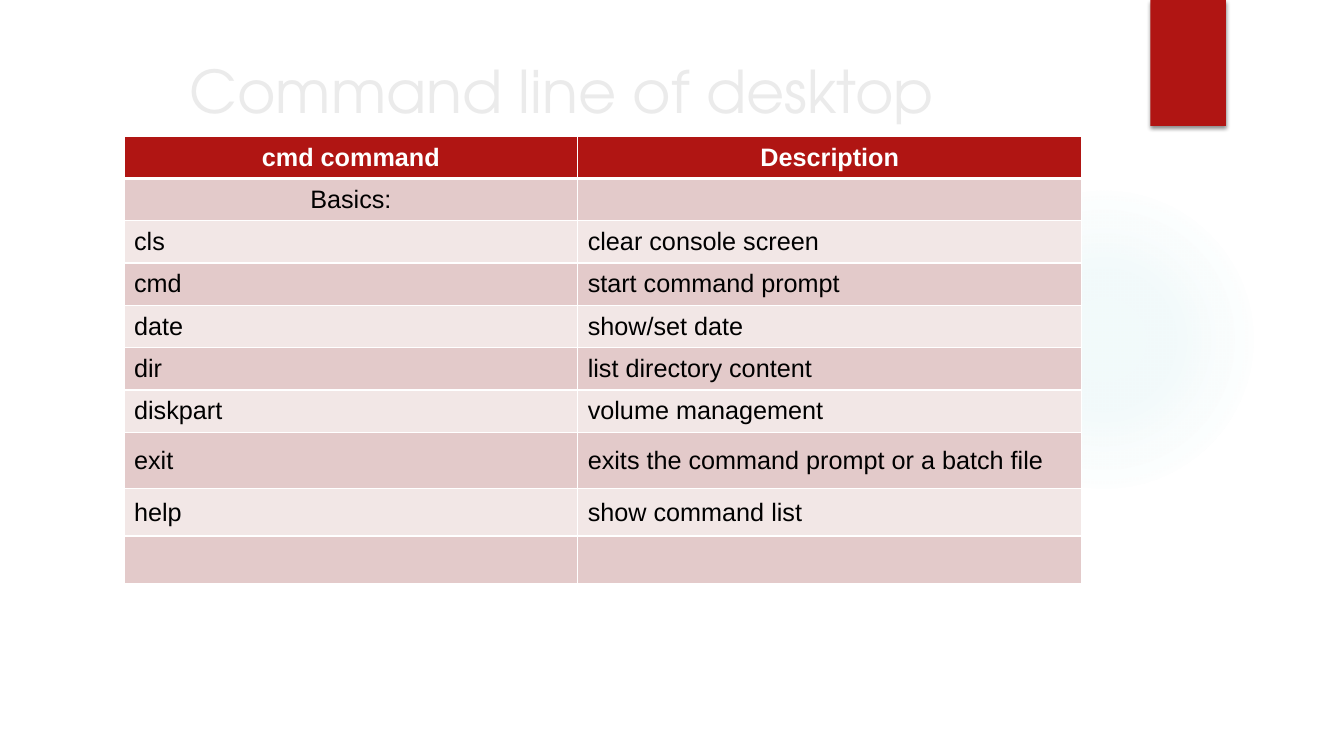
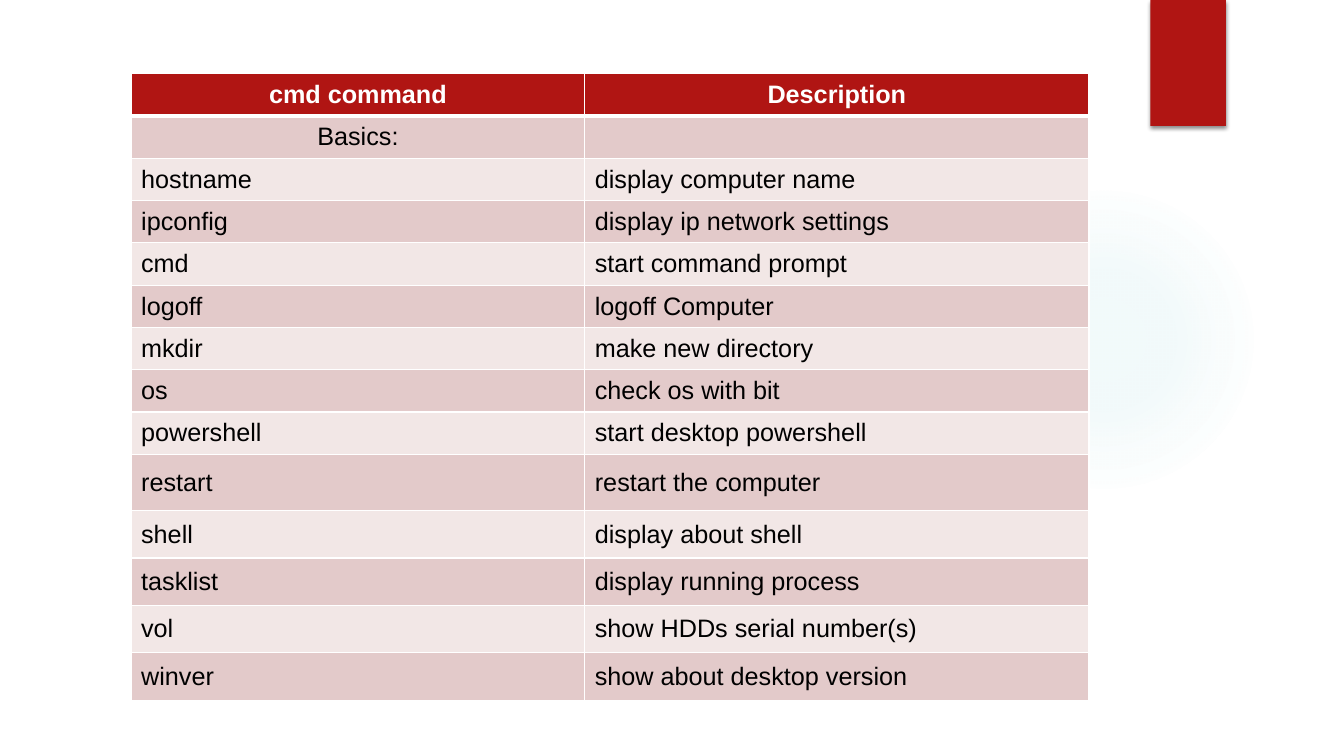
"""Build two slides of command tables sharing one red-ribbon look."""
from pptx import Presentation
from pptx import util as u
from pptx.dml.color import RGBColor
from pptx.enum import shapes, text
from pptx.oxml import parse_xml
from pptx.oxml.ns import nsdecls

PX = 9144
RED = RGBColor(0xB0, 0x15, 0x13)
ROSE = RGBColor(0xE3, 0xCA, 0xCA)
PALE = RGBColor(0xF2, 0xE7, 0xE6)
WHITE = RGBColor(0xFF, 0xFF, 0xFF)
BLACK = RGBColor(0, 0, 0)
TITLE_GREY = RGBColor(0xEB, 0xEB, 0xEB)
GLOW = RGBColor(0x4C, 0xB9, 0xC3)
GLOW_STOPS = [(0, 7), (36, 6), (69, 0), (100, 0)]
TITLE_FONT, TABLE_FONT = "TeX Gyre Adventor", "Arial"
COLUMNS = [450, 500]
ROW, TALL_ROW, LOOSE_ROW = 42, 56, 47
HEADINGS = [("cmd command", "Description"), ("Basics:", "")]

FIRST_COMMANDS = [
    ("cls", "clear console screen"),
    ("cmd", "start command prompt"),
    ("date", "show/set date"),
    ("dir", "list directory content"),
    ("diskpart", "volume management"),
    ("exit", "exits the command prompt or a batch file"),
    ("help", "show command list"),
    ("", ""),
]
MORE_COMMANDS = [
    ("hostname", "display computer name"),
    ("ipconfig", "display ip network settings"),
    ("cmd", "start command prompt"),
    ("logoff", "logoff Computer"),
    ("mkdir", "make new directory"),
    ("os", "check os with bit"),
    ("powershell", "start desktop powershell"),
    ("restart", "restart the computer"),
    ("shell", "display about shell"),
    ("tasklist", "display running process"),
    ("vol", "show HDDs serial number(s)"),
    ("winver", "show about desktop version"),
]


def px(*lengths):
    return [u.Emu(n * PX) for n in lengths]


def add_plain_shape(s, kind, *box):
    sp = s.shapes.add_shape(kind, *px(*box))
    sp.shadow.inherit = False
    sp.line.fill.background()
    return sp


def add_glow(s):
    sp = add_plain_shape(s, shapes.MSO_SHAPE.OVAL, 941, 183, 308, 308)
    sp.fill.background()
    stops = "".join(
        f'<a:gs pos="{pos * 1000}"><a:srgbClr val="{GLOW}">'
        f'<a:alpha val="{alpha * 1000}"/></a:srgbClr></a:gs>'
        for pos, alpha in GLOW_STOPS)
    gradient = parse_xml(
        f'<a:gradFill {nsdecls("a")}><a:gsLst>{stops}</a:gsLst>'
        '<a:path path="circle">'
        '<a:fillToRect l="50000" t="50000" r="50000" b="50000"/>'
        '</a:path></a:gradFill>')
    spPr = sp.element.spPr
    spPr.replace(spPr.find("{*}noFill"), gradient)


def add_ribbon(s):
    sp = add_plain_shape(s, shapes.MSO_SHAPE.RECTANGLE, 1141, 0, 75, 125)
    sp.fill.solid()
    sp.fill.fore_color.rgb = RED
    sp.element.spPr.find("{*}effectLst").append(parse_xml(
        f'<a:outerShdw {nsdecls("a")} blurRad="{u.Pt(3)}" dist="{u.Pt(2)}" '
        'dir="5400000" algn="ctr" rotWithShape="0"><a:srgbClr val="000000">'
        '<a:alpha val="45000"/></a:srgbClr></a:outerShdw>'))


def add_slide(prs, layout_name):
    s = prs.slides.add_slide(prs.slide_layouts.get_by_name(layout_name))
    add_glow(s)
    add_ribbon(s)
    return s


def set_title(s, wording):
    sp = s.shapes.title
    sp.left, sp.top, sp.width, sp.height = px(178, 49, 850, 153)
    tf = sp.text_frame
    tf.text = wording
    tf.auto_size = text.MSO_AUTO_SIZE.NONE
    tf.vertical_anchor = text.MSO_ANCHOR.TOP
    p = tf.paragraphs[0]
    p.alignment = text.PP_ALIGN.LEFT
    p.font.name, p.font.size = TITLE_FONT, u.Pt(42)
    p.font.color.rgb = TITLE_GREY


def set_borders(cell, top, bottom):
    tcPr = cell._tc.get_or_add_tcPr()
    for side, width in zip("LRTB", (1, 1, top, bottom)):
        tcPr.append(parse_xml(
            f'<a:ln{side} {nsdecls("a")} w="{u.Pt(width)}"><a:solidFill>'
            f'<a:srgbClr val="{WHITE}"/></a:solidFill></a:ln{side}>'))


def format_cell(cell, row, wording):
    header = row == 0
    set_borders(cell, 3 if row == 1 else 1, 3 if header else 1)
    cell.fill.solid()
    cell.fill.fore_color.rgb = RED if header else ROSE if row % 2 else PALE
    cell.vertical_anchor = text.MSO_ANCHOR.MIDDLE
    cell.text = wording
    p = cell.text_frame.paragraphs[0]
    p.alignment = text.PP_ALIGN.CENTER if row < 2 else text.PP_ALIGN.LEFT
    p.font.name, p.font.size, p.font.bold = TABLE_FONT, u.Pt(18), header
    p.font.color.rgb = WHITE if header else BLACK


def add_command_table(s, left, top, commands, loose_rows):
    rows = HEADINGS + commands
    heights = [ROW] * (len(rows) - loose_rows - 1)
    heights += [TALL_ROW] + [LOOSE_ROW] * loose_rows
    box = px(left, top, sum(COLUMNS), sum(heights))
    table = s.shapes.add_table(len(rows), len(COLUMNS), *box).table
    for column, width in zip(table.columns, px(*COLUMNS)):
        column.width = width
    for i, (height, wordings) in enumerate(zip(px(*heights), rows)):
        table.rows[i].height = height
        for j, wording in enumerate(wordings):
            format_cell(table.cell(i, j), i, wording)


def main():
    prs = Presentation()
    prs.slide_width, prs.slide_height = px(1333, 750)

    s = add_slide(prs, "Title Only")
    set_title(s, "Command line of desktop")
    add_command_table(s, 123, 135, FIRST_COMMANDS, loose_rows=2)

    s = add_slide(prs, "Blank")
    add_command_table(s, 130, 73, MORE_COMMANDS, loose_rows=4)

    prs.save("out.pptx")


if __name__ == "__main__":
    main()
